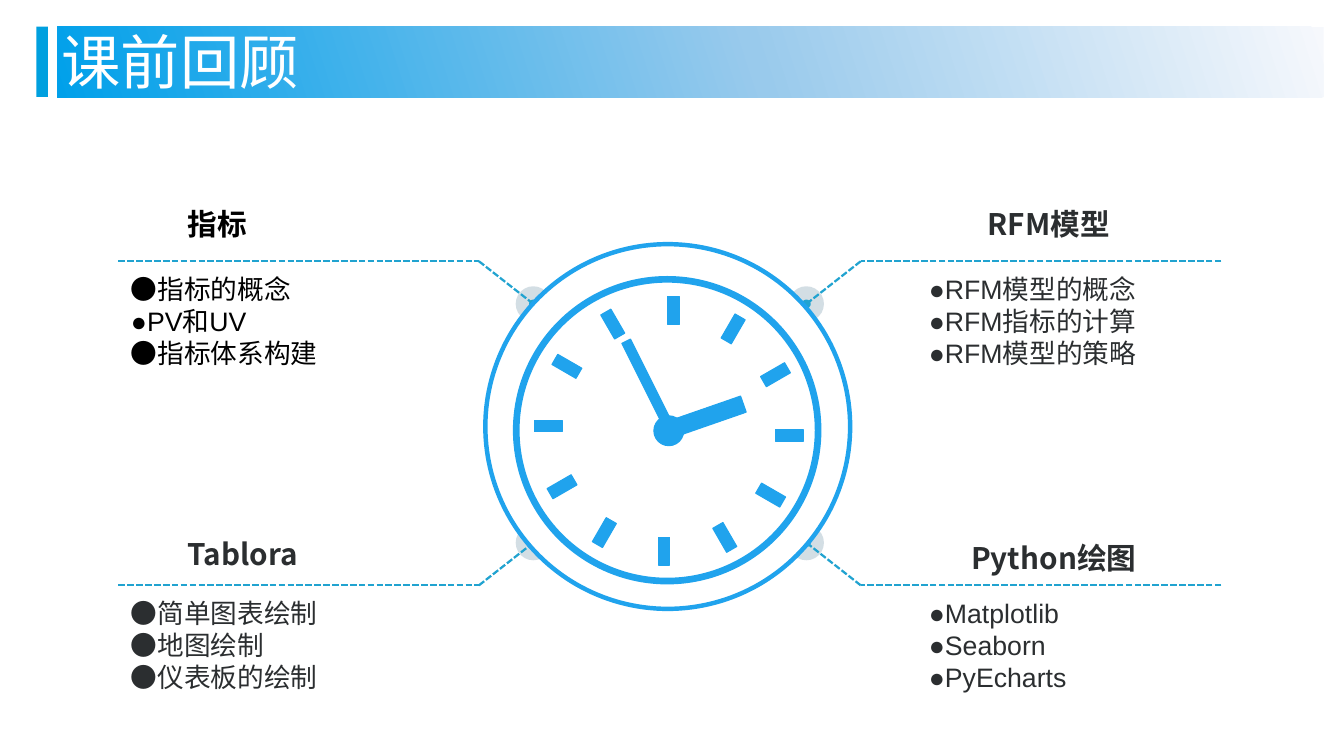
import copy
import math
from dataclasses import dataclass

from lxml import etree
from pptx import Presentation
from pptx.dml.color import RGBColor
from pptx.enum.dml import MSO_LINE
from pptx.enum.shapes import MSO_CONNECTOR, MSO_SHAPE
from pptx.enum.text import MSO_AUTO_SIZE, PP_ALIGN
from pptx.oxml.ns import qn
from pptx.util import Inches, Pt

RECT, OVAL = MSO_SHAPE.RECTANGLE, MSO_SHAPE.OVAL
STRAIGHT, DASH = MSO_CONNECTOR.STRAIGHT, MSO_LINE.SQUARE_DOT
LEFT, CENTER = PP_ALIGN.LEFT, PP_ALIGN.CENTER
FIT = MSO_AUTO_SIZE.SHAPE_TO_FIT_TEXT


@dataclass(frozen=True)
class Theme:
    clock: RGBColor = RGBColor(0x20, 0xA3, 0xED)
    leader: RGBColor = RGBColor(0x21, 0xA3, 0xD0)
    halo: RGBColor = RGBColor(0xA9, 0xBE, 0xCB)
    accent: RGBColor = RGBColor(0x00, 0xA0, 0xDF)
    band: tuple = ((0, "F6F8FC"), (0.45, "99CAEC"), (1, "00A0EA"))
    white: RGBColor = RGBColor(0xFF, 0xFF, 0xFF)
    black: RGBColor = RGBColor(0, 0, 0)
    ink: RGBColor = RGBColor(0x2B, 0x2E, 0x30)
    title_font: str = "Noto Sans CJK JP"
    head_font: str = "Noto Sans CJK SC"
    body_font: str = "Arial"
    title_size: Pt = Pt(40)
    head_size: Pt = Pt(20)
    body_size: Pt = Pt(18)


T = Theme()
prs = Presentation()
prs.slide_width, prs.slide_height = Inches(12.6), Inches(7.09)
s = prs.slides.add_slide(prs.slide_layouts[6])


def paint(sp, fill=None, line=None, width=0.75):
    """Set fill and outline of a shape; None means neither is drawn."""
    sp.shadow.inherit = False
    if fill is None:
        sp.fill.background()
    else:
        sp.fill.solid()
        sp.fill.fore_color.rgb = fill
    if line is None:
        sp.line.fill.background()
    else:
        sp.line.color.rgb = line
        sp.line.width = Pt(width)


def add_text(box, lines, font, size, color, bold=False, align=LEFT):
    tf = s.shapes.add_textbox(*map(Inches, box)).text_frame
    tf.word_wrap = True
    tf.auto_size = FIT
    tf.text = "\n".join(lines)
    for p in tf.paragraphs:
        p.alignment = align
        for r in p.runs:
            r.font.name, r.font.size, r.font.bold = font, size, bold
            r.font.color.rgb = color
            if font != T.body_font:
                ea = etree.SubElement(r.font._element, qn("a:ea"))
                ea.set("typeface", font)


# Leaders: one corner, mirrored about the slide's two axes
AXIS_X, AXIS_Y, HALO = 6.28, 3.97, 0.33
for side, level in ((-1, -1), (1, -1), (-1, 1), (1, 1)):
    outer, bend, tip = (AXIS_X + side * d for d in (5.17, 1.79, 1.28))
    rule_y, tip_y = AXIS_Y + level * 1.52, AXIS_Y + level * 1.12
    halo = s.shapes.add_shape(OVAL, Inches(tip - HALO / 2), Inches(tip_y - HALO / 2),
                              Inches(HALO), Inches(HALO))
    paint(halo, T.halo)
    color = halo._element.spPr.find(".//" + qn("a:srgbClr"))
    etree.SubElement(color, qn("a:alpha")).set("val", "50000")
    for ends in ((outer, rule_y, bend, rule_y), (bend, rule_y, tip, tip_y)):
        leader = s.shapes.add_connector(STRAIGHT, *map(Inches, ends))
        leader.line.color.rgb = T.leader
        leader.line.width = Pt(1.5)
        leader.line.dash_style = DASH
        if ends[2] == tip:
            etree.SubElement(leader.line._get_or_add_ln(), qn("a:tailEnd")).set("type", "oval")
        etree.SubElement(leader._element.spPr, qn("a:effectLst"))

# Clock: face, twelve ticks, two hands, hub, ring
HUB_X, HUB_Y, TICK_RADIUS, TICK_HALF = 6.27, 4.04, 1.13, 0.13
face = s.shapes.add_shape(OVAL, *map(Inches, (4.55, 2.29, 3.42, 3.42)))
paint(face, T.white, T.clock, 3)

bars = [(6.3, 4.06, 5.87, 3.2, 0.09), (6.25, 4.04, 6.97, 3.79, 0.16)]
for hour in range(12):
    turn = math.radians(30 * hour)
    place = turn + math.radians(2.3)
    x = HUB_X + TICK_RADIUS * math.sin(place)
    y = HUB_Y - TICK_RADIUS * math.cos(place)
    dx, dy = TICK_HALF * math.sin(turn), -TICK_HALF * math.cos(turn)
    bars.append((x - dx, y - dy, x + dx, y + dy, 0.11))

for x1, y1, x2, y2, width in bars:
    length = math.hypot(x2 - x1, y2 - y1)
    nx, ny = (y1 - y2) * width / 2 / length, (x2 - x1) * width / 2 / length
    corners = [(x1 + nx, y1 + ny), (x2 + nx, y2 + ny), (x2 - nx, y2 - ny), (x1 - nx, y1 - ny)]
    points = [(Inches(x), Inches(y)) for x, y in corners]
    outline = s.shapes.build_freeform(*points[0])
    outline.add_line_segments(points[1:], close=True)
    paint(outline.convert_to_shape(), T.clock, T.clock)

hub = s.shapes.add_shape(OVAL, *map(Inches, (6.13, 3.9, 0.28, 0.28)))
paint(hub, T.clock, T.clock)
ring = s.shapes.add_shape(OVAL, *map(Inches, (4.84, 2.62, 2.83, 2.83)))
paint(ring, None, T.clock, 4.5)

# Topics: heading box, heading, alignment, list box, list items, colour
topics = [
    ((1.66, 1.88, 2.68, 0.44), "指标", LEFT, (1.13, 2.51, 2.3, 1.01),
     ["●指标的概念", "●PV和UV", "●指标体系构建"], T.black),
    ((9.16, 1.88, 2.29, 0.44), "RFM模型", LEFT, (8.61, 2.51, 2.84, 1.01),
     ["●RFM模型的概念", "●RFM指标的计算", "●RFM模型的策略"], T.ink),
    ((1.66, 4.98, 2.68, 0.44), "Tablora", LEFT, (1.13, 5.55, 2.3, 1.01),
     ["●简单图表绘制", "●地图绘制", "●仪表板的绘制"], T.ink),
    ((8.31, 5.01, 3.14, 0.44), "Python绘图", CENTER, (8.61, 5.55, 2.97, 1.01),
     ["●Matplotlib", "●Seaborn", "●PyEcharts"], T.ink),
]
for head_box, heading, align, list_box, items, color in topics:
    add_text(head_box, [heading], T.head_font, T.head_size, color, True, align)
    add_text(list_box, items, T.body_font, T.body_size, color)

# Title band
band = s.shapes.add_shape(RECT, *map(Inches, (0.54, 0.25, 11.87, 0.66)))
paint(band)
band.rotation = 180
band.fill.gradient()
band.fill.gradient_angle = 18
stop_list = band._element.spPr.find(".//" + qn("a:gsLst"))
stop_list.append(copy.deepcopy(stop_list[0]))
for stop, (position, color) in zip(band.fill.gradient_stops, T.band):
    stop.position = position
    stop.color.rgb = RGBColor.from_string(color)

marker = s.shapes.add_shape(RECT, *map(Inches, (0.34, 0.25, 0.11, 0.66)))
paint(marker, T.accent)
add_text((0.48, 0.19, 5.51, 0.77), ["课前回顾"], T.title_font, T.title_size, T.white)

prs.save("out.pptx")
